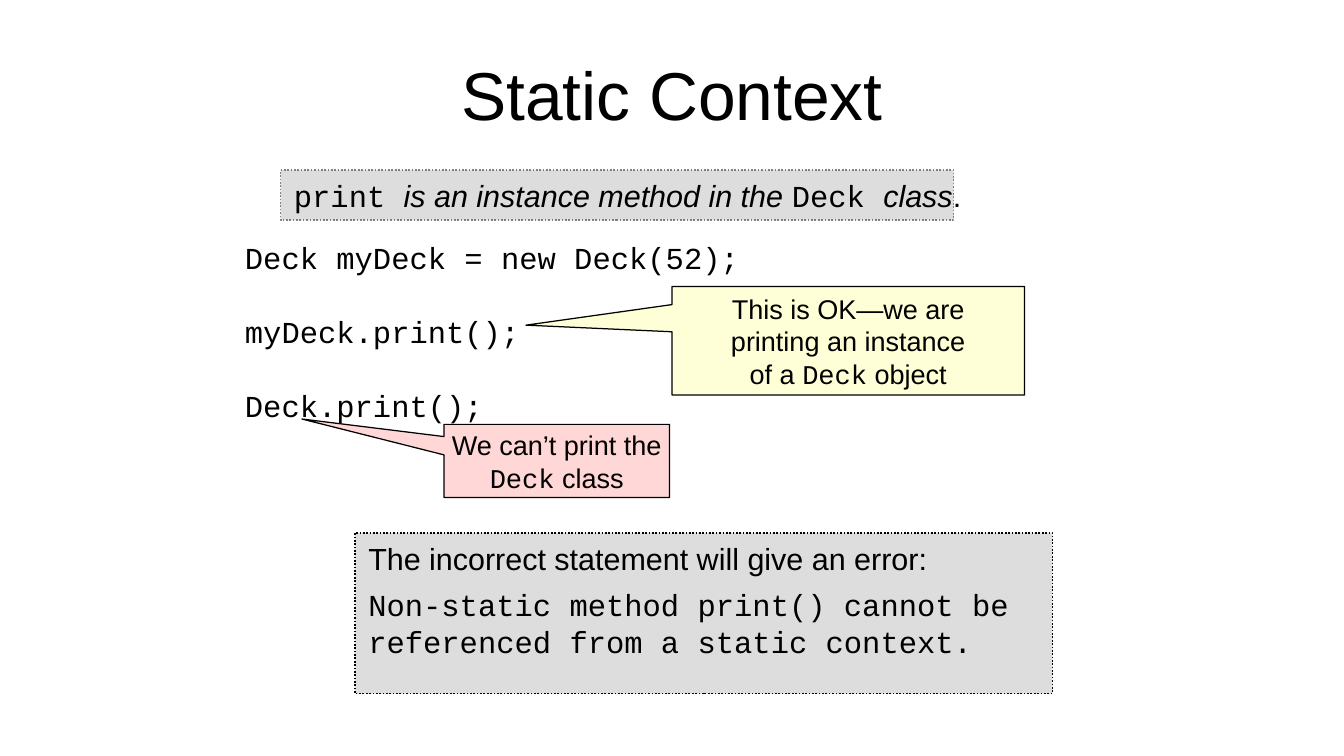
from pptx import Presentation
from pptx.dml.color import RGBColor
from pptx.enum.dml import MSO_LINE
from pptx.enum.shapes import MSO_SHAPE
from pptx.enum.text import MSO_ANCHOR, MSO_AUTO_SIZE, PP_ALIGN
from pptx.util import Pt

BLACK = RGBColor(0x00, 0x00, 0x00)
GRAY = RGBColor(0x80, 0x80, 0x80)
PANEL = RGBColor(0xDD, 0xDD, 0xDD)
YELLOW = RGBColor(0xFF, 0xFF, 0xD7)
PINK = RGBColor(0xFF, 0xD7, 0xD7)

PROSE = ("Arial", False)
EMPHASIS = ("Arial", True)
CODE = ("Courier New", False)


class SlideBuilder:
    def __init__(self, slide):
        self.slide = slide
        self.body_size = 18
        self.callout_size = 16
        self.title_size = 40

    def fill_text(self, shape, lines, size, align=PP_ALIGN.LEFT, anchor=MSO_ANCHOR.TOP,
                  margins=(7.2, 3.6), wrap=False):
        """Fill a shape with lines, each a list of (text, style) runs."""
        frame = shape.text_frame
        frame.auto_size = MSO_AUTO_SIZE.NONE
        frame.word_wrap = wrap
        frame.vertical_anchor = anchor
        frame.margin_left = frame.margin_right = Pt(margins[0])
        frame.margin_top = frame.margin_bottom = Pt(margins[1])
        for index, line in enumerate(lines):
            paragraph = frame.add_paragraph() if index else frame.paragraphs[0]
            paragraph.alignment = align
            for text, (font_name, italic) in line:
                run = paragraph.add_run()
                run.text = text
                run.font.name = font_name
                run.font.italic = italic
                run.font.size = Pt(size)
                run.font.color.rgb = BLACK
        return frame.paragraphs

    def title(self, text, box):
        title = self.slide.shapes.title
        title.left, title.top, title.width, title.height = map(Pt, box)
        self.fill_text(title, [[(text, PROSE)]], self.title_size, PP_ALIGN.CENTER,
                       MSO_ANCHOR.MIDDLE, (0, 0), wrap=True)

    def code(self, statements, box, gap):
        listing = self.slide.shapes.add_textbox(*map(Pt, box))
        lines = [[(statement, CODE)] for statement in statements]
        for paragraph in self.fill_text(listing, lines, self.body_size)[1:]:
            paragraph.space_before = Pt(gap)

    def filled_shape(self, kind, box, fill, line_color, line_width):
        shape = self.slide.shapes.add_shape(kind, *map(Pt, box))
        shape.shadow.inherit = False
        shape.fill.solid()
        shape.fill.fore_color.rgb = fill
        shape.line.color.rgb = line_color
        shape.line.width = Pt(line_width)
        return shape

    def panel(self, lines, box, line_color, wrap=False):
        panel = self.filled_shape(MSO_SHAPE.RECTANGLE, box, PANEL, line_color, 1)
        panel.line.dash_style = MSO_LINE.ROUND_DOT
        return self.fill_text(panel, lines, self.body_size, margins=(7.9, 4.3), wrap=wrap)

    def callout(self, lines, box, fill, tip):
        """Add a callout whose tip is at the given point on the slide."""
        left, top, width, height = box
        callout = self.filled_shape(MSO_SHAPE.RECTANGULAR_CALLOUT, box, fill, BLACK, 0)
        callout.adjustments[0] = (tip[0] - left) / width - 0.5
        callout.adjustments[1] = (tip[1] - top) / height - 0.5
        self.fill_text(callout, lines, self.callout_size, PP_ALIGN.CENTER,
                       MSO_ANCHOR.MIDDLE)


def main():
    presentation = Presentation()
    presentation.slide_width = Pt(793.44)
    presentation.slide_height = Pt(446.4)
    title_only = presentation.slide_layouts[5]
    builder = SlideBuilder(presentation.slides.add_slide(title_only))

    builder.title("Static Context", (39.6, 18, 714.2, 74.9))
    builder.code(["Deck myDeck = new Deck(52);", "myDeck.print();", "Deck.print();"],
                 (137.5, 137.5, 306, 109.4), gap=22)
    builder.panel([[("print ", CODE), ("is an instance method in the ", EMPHASIS),
                    ("Deck ", CODE), ("class", EMPHASIS), (".", PROSE)]],
                  (165.6, 100.5, 397.4, 29.5), GRAY)
    builder.callout([[("This is OK—we are", PROSE)],
                     [("printing an instance", PROSE)],
                     [("of a ", PROSE), ("Deck", CODE), (" object", PROSE)]],
                    (396.7, 169.2, 208.1, 64.1), YELLOW, tip=(310.5, 192))
    builder.callout([[("We can’t print the", PROSE)],
                     [("Deck", CODE), (" class", PROSE)]],
                    (262.1, 250.6, 133.2, 43.2), PINK, tip=(178.2, 247.4))
    error = builder.panel(
        [[("The incorrect statement will give an error:", PROSE)],
         [("Non-static method print() cannot be referenced from a static context.", CODE)]],
        (209.5, 314.6, 411.8, 95), BLACK, wrap=True)
    error[0].space_before = error[0].space_after = Pt(5.7)

    presentation.save("out.pptx")


if __name__ == "__main__":
    main()
